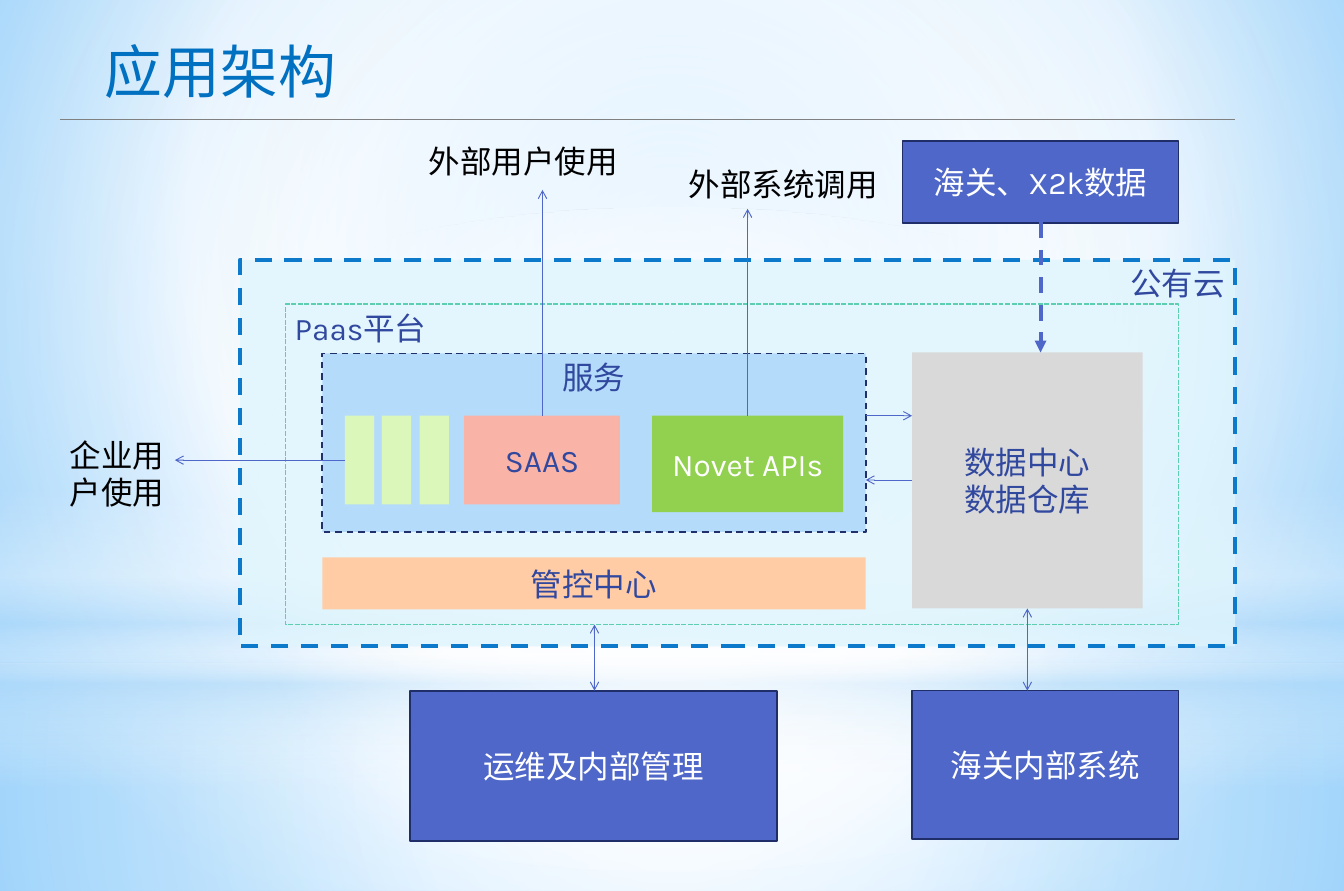
from pptx import Presentation
from pptx.dml.color import RGBColor
from pptx.enum.dml import MSO_LINE as Dash
from pptx.enum.shapes import MSO_CONNECTOR as Link, MSO_SHAPE as Kind
from pptx.enum.text import MSO_ANCHOR as Anchor, PP_ALIGN as Align
from pptx.oxml import parse_xml
from pptx.oxml.ns import nsdecls, qn
from pptx.util import Pt

PX = 9144
WIDE, HIGH = 1422, 943
NAVY, BLUE, EDGE, WHITE = "31489F", "4E67C8", "1F2E69", "FFFFFF"
SKY, LIME = "B4DCFA", "DCF7BA"
CENTER = (50, 50, 50, 50)


def emu(*vals):
    """Turn px into EMU."""
    return [round(v * PX) for v in vals]


def tint(code):
    """Give the colour of a hex string."""
    return RGBColor.from_string(code)


def grade(fill, props, stops, focus=None):
    """Fill with a round gradient, or a downward one without a focus."""
    marks = "".join(
        f'<a:gs pos="{pos * 1000}"><a:srgbClr val="{code}">'
        f'<a:alpha val="{alpha * 1000}"/></a:srgbClr></a:gs>'
        for pos, code, alpha in stops)
    if focus:
        sides = " ".join(f'{s}="{v * 1000}"' for s, v in zip("ltrb", focus))
        way = f'<a:path path="circle"><a:fillToRect {sides}/></a:path>'
    else:
        way = '<a:lin ang="5400000" scaled="0"/>'
    fill.solid()
    grad = parse_xml(f'<a:gradFill {nsdecls("a")} rotWithShape="1">'
                     f'<a:gsLst>{marks}</a:gsLst>{way}</a:gradFill>')
    props.replace(props.find(qn("a:solidFill")), grad)


def write(frame, text, color, size=24, align=Align.LEFT):
    """Write each line of text as a paragraph."""
    for i, words in enumerate(text.split("\n")):
        para = frame.add_paragraph() if i else frame.paragraphs[0]
        para.alignment = align
        run = para.add_run()
        run.text = words
        run.font.size = Pt(size)
        run.font.color.rgb = tint(color)
        run.font.name = "Karla"
        run._r.get_or_add_rPr().append(parse_xml(
            f'<a:ea {nsdecls("a")} typeface="Noto Sans CJK SC"/>'))


def label(slide, x, y, w, h, text, color):
    """Place free text."""
    frame = slide.shapes.add_textbox(*emu(x, y, w, h)).text_frame
    frame.word_wrap = False
    write(frame, text, color)


def block(slide, x, y, w, h, fill=None, line=None, thick=1.25, dash=None,
          text="", color=NAVY, align=Align.CENTER, anchor=Anchor.MIDDLE,
          kind=Kind.RECTANGLE):
    """Draw a shape with its text."""
    shape = slide.shapes.add_shape(kind, *emu(x, y, w, h))
    shape.shadow.inherit = False
    if fill:
        shape.fill.solid()
        shape.fill.fore_color.rgb = tint(fill)
    else:
        shape.fill.background()
    if line:
        shape.line.color.rgb = tint(line)
        shape.line.width = Pt(thick)
        if dash:
            shape.line.dash_style = dash
    else:
        shape.line.fill.background()
    if text:
        frame = shape.text_frame
        frame.word_wrap = True
        frame.vertical_anchor = anchor
        write(frame, text, color, align=align)
    return shape


def wire(slide, x, y, far, low, color=BLUE, thick=0.75, dash=None,
         head=None, tail="arrow"):
    """Draw a line from one point to another."""
    link = slide.shapes.add_connector(Link.STRAIGHT, *emu(x, y, far, low))
    link.line.color.rgb = tint(color)
    link.line.width = Pt(thick)
    if dash:
        link.line.dash_style = dash
    pen = link.line._get_or_add_ln()
    for end, tip in (("headEnd", head), ("tailEnd", tail)):
        if tip:
            pen.append(parse_xml(f'<a:{end} {nsdecls("a")} type="{tip}"/>'))
    link._element.spPr.append(parse_xml(f'<a:effectLst {nsdecls("a")}/>'))


def backdrop(slide, x, y, w, h):
    """Paint the sky and its veils of light."""
    back = slide.background.fill
    back.solid()
    grade(back, slide._element.cSld.bg.bgPr,
          [(0, "9ED5FF", 100), (60, WHITE, 100), (100, "5BB9FF", 100)],
          (20, 10, 20, 60))
    rect = Kind.RECTANGLE
    veils = [
        (rect, 702, h - 702, CENTER,
         [(0, WHITE, 91), (37, WHITE, 76), (100, SKY, 79)]),
        (rect, 0, 702, CENTER,
         [(0, WHITE, 89), (48, WHITE, 62), (100, SKY, 79)]),
        (rect, 518, 314, None,
         [(0, WHITE, 0), (29, WHITE, 30), (45, SKY, 40), (55, WHITE, 26),
          (65, SKY, 60), (100, WHITE, 0)]),
        (Kind.OVAL, 220, 702, CENTER, [(0, WHITE, 100), (56, WHITE, 0)]),
    ]
    for kind, top, tall, focus, stops in veils:
        veil = block(slide, x, y + top, w, tall, kind=kind)
        grade(veil.fill, veil._element.spPr, stops, focus)


def title(slide, x, y, w, h):
    """Place the heading and its rule."""
    frame = slide.shapes.add_textbox(*emu(x + 33, y, w - 33, 88)).text_frame
    frame.word_wrap = True
    frame.margin_left = frame.margin_right = 14 * PX
    frame.margin_top = frame.margin_bottom = 7 * PX
    write(frame, "应用架构", "0070C0", 44)
    wire(slide, x, y + h, x + w, y + h, "808080", tail=None)


def cloud(slide, x, y, w, h):
    """Draw the public cloud and what it holds."""
    shape = block(slide, x, y, w, h, "DFF5FD", "0D79CA", 3.25, Dash.DASH)
    shape._element.spPr.find(qn("a:solidFill"))[0].append(
        parse_xml(f'<a:alpha {nsdecls("a")} val="78000"/>'))
    label(slide, x + w - 121, y, 121, 50, "公有云", NAVY)
    platform(slide, x + 48, y + 47, 945, 339)


def platform(slide, x, y, w, h):
    """Draw the platform with services, control and data."""
    block(slide, x, y, w, h, None, "5DCEAF", dash=Dash.SQUARE_DOT,
          text="Paas平台", align=Align.LEFT, anchor=Anchor.TOP)
    services(slide, x + 39, y + 52, 575, 189)
    block(slide, x + 39, y + 268, 575, 55, "FFCCA6", text="管控中心")
    block(slide, x + 663, y + 51, 244, 271, "D9D9D9",
          text="数据中心\n数据仓库")
    wire(slide, x + 614, y + 118, x + 663, y + 118)
    wire(slide, x + 663, y + 186, x + 614, y + 186)


def services(slide, x, y, w, h):
    """Draw the service panel and its tiles."""
    block(slide, x, y, w, h, SKY, "21306A", dash=Dash.DASH, text="服务",
          anchor=Anchor.TOP)
    for i in range(3):
        block(slide, x + 24 + i * 79 // 2, y + 66, 31, 94, LIME)
    block(slide, x + 150, y + 66, 165, 94, "F9B3A7", text="SAAS")
    block(slide, x + 349, y + 66, 202, 102, "92D050", text="Novet APIs",
          color=WHITE)


def outside(slide, x, y, w, h):
    """Place users and systems around the cloud, with their arrows."""
    systems = [(955, 149, 292, 87, "海关、X2k数据"),
               (965, 731, 282, 157, "海关内部系统"),
               (434, 731, 388, 159, "运维及内部管理")]
    for left, top, wide, tall, text in systems:
        block(slide, x + left, y + top, wide, tall, BLUE, EDGE, text=text,
              color=WHITE)
    users = [(444, 145, 222, 50, "外部用户使用"),
             (719, 170, 222, 50, "外部系统调用"),
             (64, 456, 121, 91, "企业用\n户使用")]
    for left, top, wide, tall, text in users:
        label(slide, x + left, y + top, wide, tall, text, "000000")
    links = [(574, 440, 574, 201, None), (791, 440, 791, 221, None),
             (365, 487, 185, 487, None), (1087, 644, 1087, 731, "arrow"),
             (629, 731, 629, 661, "arrow")]
    for left, top, far, low, head in links:
        wire(slide, x + left, y + top, x + far, y + low, head=head)
    wire(slide, x + 1101, y + 235, x + 1101, y + 373, thick=3,
         dash=Dash.DASH, tail="triangle")


def main():
    """Build the slide and save it."""
    deck = Presentation()
    deck.slide_width, deck.slide_height = emu(WIDE, HIGH)
    slide = deck.slides.add_slide(deck.slide_layouts[6])
    backdrop(slide, 0, 0, WIDE, HIGH)
    title(slide, 64, 31, 1243, 96)
    cloud(slide, 254, 275, 1053, 409)
    outside(slide, 0, 0, WIDE, HIGH)
    deck.save("out.pptx")


if __name__ == "__main__":
    main()
